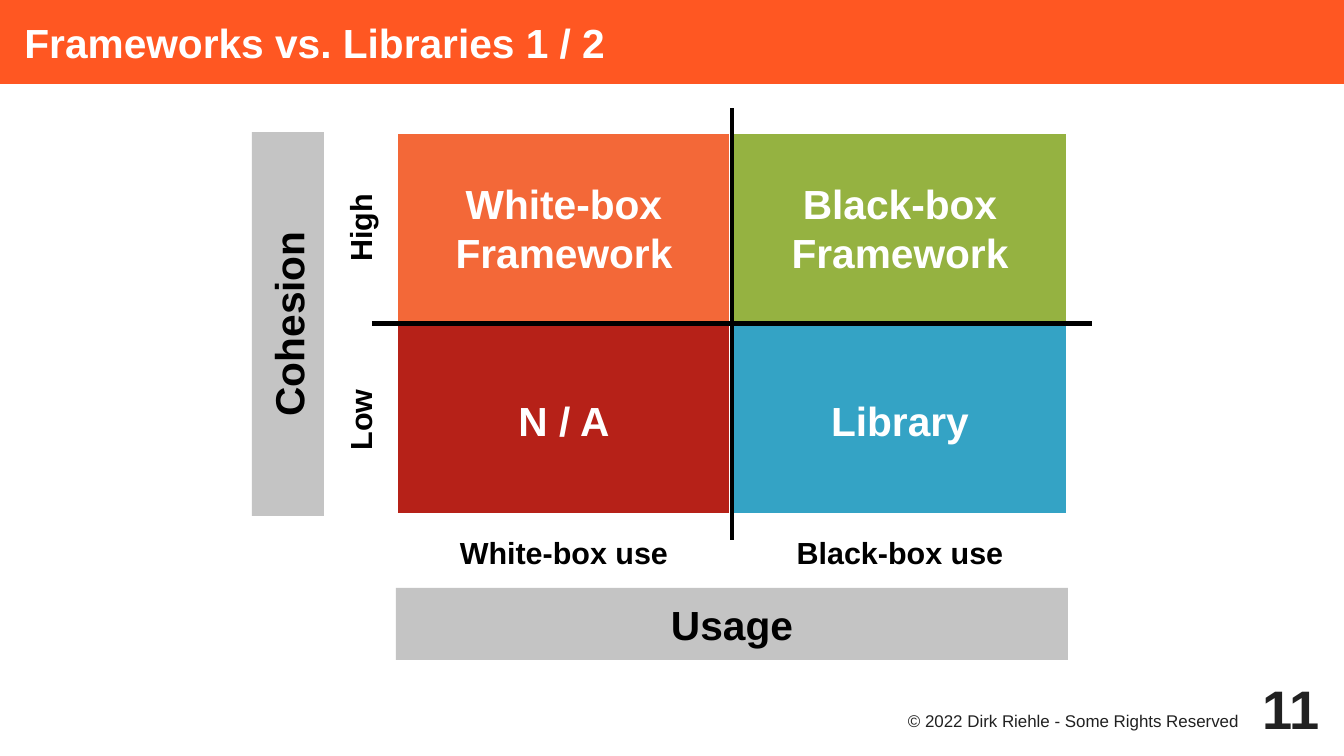
import pptx
import pptx.util
import pptx.dml.color
import pptx.enum.shapes
import pptx.enum.text
from lxml import etree

COLORS = {
    "white": "FFFFFF", "black": "000000", "ink": "212121", "gray": "C4C4C4",
    "title": "FF5722", "orange": "F36838", "green": "95B241",
    "red": "B62118", "blue": "34A3C5",
}
TITLE = "Frameworks vs. Libraries 1 / 2"
QUADRANTS = [  # column, row, fill, lines of text
    (0, 0, "orange", ["White-box", "Framework"]),
    (1, 0, "green", ["Black-box", "Framework"]),
    (0, 1, "red", ["N / A"]),
    (1, 1, "blue", ["Library"]),
]
USAGE, USAGE_VALUES = "Usage", ["White-box use", "Black-box use"]
COHESION, COHESION_VALUES = "Cohesion", ["High", "Low"]
FOOTER = "© 2022 Dirk Riehle - Some Rights Reserved"
PAGE_NUMBER = "11"

# The slide is a grid of 56 square units across; all places are in units.
SLIDE_W, SLIDE_H = 11.02, 6.2
COLUMNS = 56
LEFT, TOP = 16.5, 5.5
CELL_W, CELL_H = 14, 8
BAND = 3
OVERHANG = 1
MID_X, MID_Y = LEFT + CELL_W, TOP + CELL_H
RIGHT, BOTTOM = LEFT + 2 * CELL_W, TOP + 2 * CELL_H
LINE_PT = 2.83

PP_ALIGN = pptx.enum.text.PP_ALIGN
ANCHOR = pptx.enum.text.MSO_ANCHOR

prs = pptx.Presentation()
prs.slide_width = pptx.util.Inches(SLIDE_W)
prs.slide_height = pptx.util.Inches(SLIDE_H)
slide = prs.slides.add_slide(prs.slide_layouts[6])


def units(n):
    return pptx.util.Inches(n * SLIDE_W / COLUMNS)


def rgb(name):
    return pptx.dml.color.RGBColor.from_string(COLORS[name])


def add_box(lines, x, y, w, h, size, color="black", fill=None, border=None,
            align=PP_ALIGN.CENTER, anchor=ANCHOR.MIDDLE, bold=True,
            insets=(0, 0, 0, 0), upright=False, wrap=True):
    """Add text in the area x, y, w, h; upright text reads from bottom to top."""
    if upright:
        x, y, w, h = x + (w - h) / 2, y + (h - w) / 2, h, w
    place = [units(n) for n in (x, y, w, h)]
    if fill:
        sp = slide.shapes.add_shape(pptx.enum.shapes.MSO_SHAPE.RECTANGLE, *place)
        sp.shadow.inherit = False
        sp.fill.solid()
        sp.fill.fore_color.rgb = rgb(fill)
        if border:
            sp.line.color.rgb = rgb(border)
            sp.line.width = pptx.util.Pt(LINE_PT)
        else:
            sp.line.fill.background()
    else:
        sp = slide.shapes.add_textbox(*place)
    sp.rotation = 270 if upright else 0
    tf = sp.text_frame
    tf.word_wrap = wrap
    tf.vertical_anchor = anchor
    tf.margin_left, tf.margin_top, tf.margin_right, tf.margin_bottom = [
        pptx.util.Inches(n) for n in insets]
    for i, line in enumerate(lines):
        p = tf.add_paragraph() if i else tf.paragraphs[0]
        p.alignment = align
        r = p.add_run()
        r.text = line
        r.font.name = "Arial"
        r.font.size = pptx.util.Pt(size)
        r.font.bold = bold
        r.font.color.rgb = rgb(color)


def add_axis(x1, y1, x2, y2):
    line = slide.shapes.add_connector(
        pptx.enum.shapes.MSO_CONNECTOR.STRAIGHT, *[units(n) for n in (x1, y1, x2, y2)])
    line.line.color.rgb = rgb("black")
    line.line.width = pptx.util.Pt(LINE_PT)
    sp_pr = line._element.spPr
    etree.SubElement(sp_pr, pptx.oxml.ns.qn("a:effectLst"))


add_box([TITLE], 0, 0, COLUMNS, 3.5, 24, "white", "title",
        align=PP_ALIGN.LEFT, insets=(0.2, 0, 0, 0))

for col, row, fill, lines in QUADRANTS:
    add_box(lines, LEFT + col * CELL_W, TOP + row * CELL_H, CELL_W, CELL_H, 24,
            "white", fill, "white", insets=(0.12, 0.07, 0.12, 0.07), wrap=False)

for i, label in enumerate(USAGE_VALUES):
    add_box([label], LEFT + i * CELL_W, BOTTOM, CELL_W, BAND, 18, insets=(0.08,) * 4)
add_box([USAGE], LEFT, BOTTOM + BAND, 2 * CELL_W, BAND, 24, fill="gray")

for i, label in enumerate(COHESION_VALUES):
    add_box([label], LEFT - BAND, TOP + i * CELL_H, BAND, CELL_H, 18,
            insets=(0.08,) * 4, upright=True)
add_box([COHESION], LEFT - 2 * BAND, TOP, BAND, 2 * CELL_H, 24, fill="gray", upright=True)

add_axis(LEFT - OVERHANG, MID_Y, RIGHT + OVERHANG, MID_Y)
add_axis(MID_X, BOTTOM + OVERHANG, MID_X, TOP - OVERHANG)

add_box([FOOTER], 36, 29.5, 16, 1.5, 10, "ink", align=PP_ALIGN.RIGHT,
        anchor=ANCHOR.TOP, bold=False, insets=(0, 0.02, 0.08, 0))
add_box([PAGE_NUMBER], 51, 28, 4, 3, 32, "ink", align=PP_ALIGN.RIGHT)

prs.save("out.pptx")
